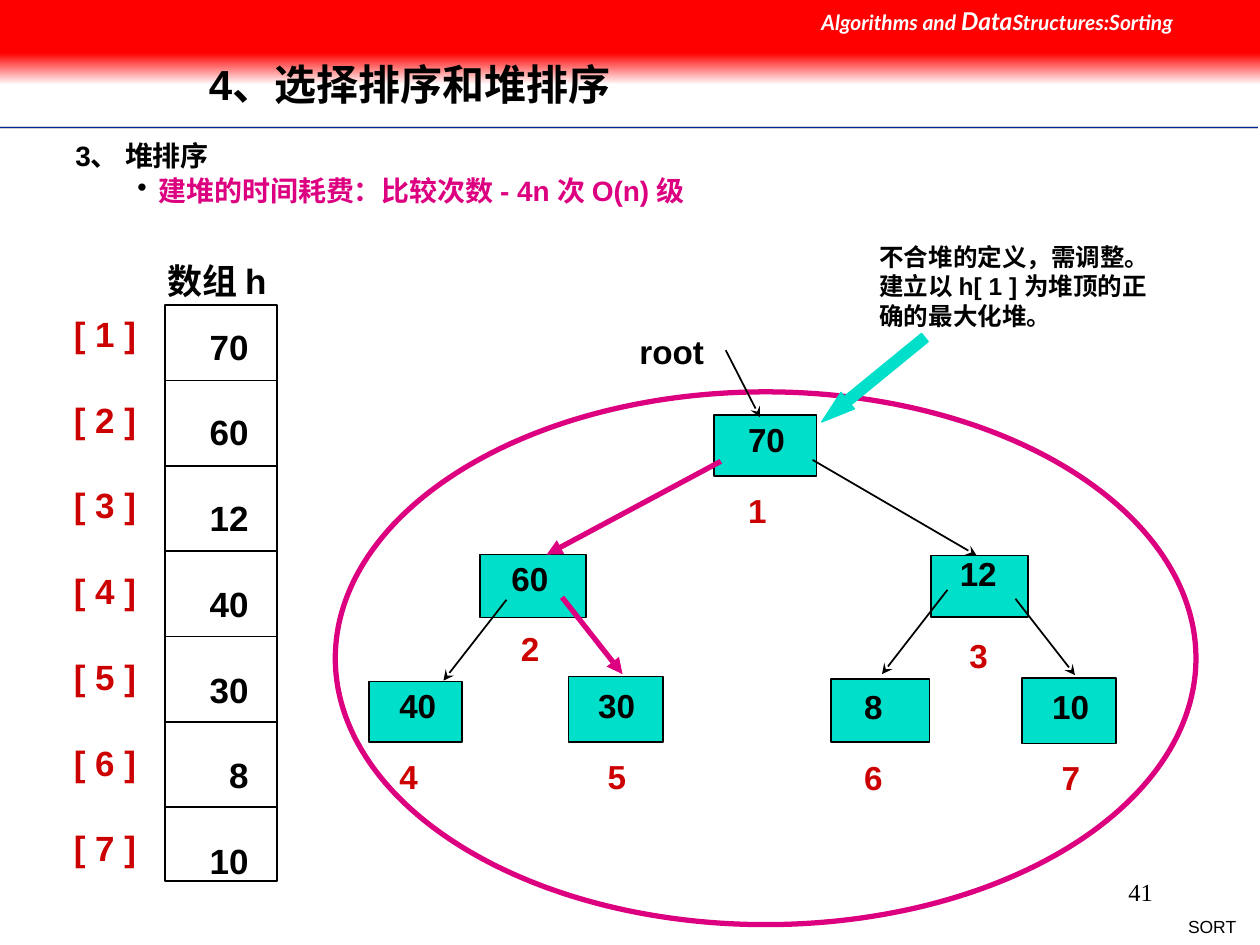
from lxml.etree import SubElement
from pptx import Presentation
from pptx.dml.color import RGBColor
from pptx.enum.shapes import MSO_CONNECTOR, MSO_SHAPE
from pptx.enum.text import MSO_ANCHOR, PP_ALIGN
from pptx.oxml.ns import qn
from pptx.util import Cm, Pt

BLACK, WHITE, RED = "000000", "FFFFFF", "FF0000"
MAGENTA, TEAL, INDEX_RED = "DC0081", "00DFCA", "CC0000"

KEYS = [70, 60, 12, 40, 30, 8, 10]

# Box (left, top, width, height), text (left, top), index indent, gap in points
NODES = [
    ((14.4, 8.36, 2.06, 1.24), (14.88, 8.36), 0, 17.5),
    ((9.68, 11.18, 2.13, 1.27), (10.11, 11.15), 0.19, 17.5),
    ((18.77, 11.2, 1.96, 1.24), (19.15, 11.05), 0.19, 24),
    ((7.44, 13.74, 1.88, 1.22), (7.85, 13.72), 0, 17.5),
    ((11.46, 13.64, 1.9, 1.32), (11.86, 13.72), 0.19, 17.5),
    ((16.76, 13.69, 1.98, 1.27), (17.22, 13.74), 0, 17.5),
    ((20.6, 13.67, 1.9, 1.32), (21.01, 13.74), 0.19, 17.5),
]

PLAIN_ARROWS = [
    (14.63, 7.06, 15.32, 8.41),
    (16.38, 9.27, 19.69, 11.2),
    (10.21, 12.09, 8.94, 13.72),
    (19.1, 11.89, 17.78, 13.59),
    (20.47, 12.07, 21.67, 13.61),
]
PATH_ARROWS = [(14.53, 9.3, 11.02, 11.18), (11.33, 12.04, 12.55, 13.59)]


def rgb(value):
    return RGBColor.from_string(value)


def add_run(p, text, size, color=BLACK, bold=True, italic=False, font="Arial"):
    r = p.add_run()
    r.text = text
    r.font.name, r.font.size = font, Pt(size)
    r.font.bold, r.font.italic = bold, italic
    r.font.color.rgb = rgb(color)


def add_text(s, box, inset=0.25, align=PP_ALIGN.LEFT, anchor=MSO_ANCHOR.TOP):
    """Add an empty text box and return its frame."""
    tf = s.shapes.add_textbox(*map(Cm, box)).text_frame
    tf.word_wrap = True
    tf.vertical_anchor = anchor
    tf.margin_left = tf.margin_right = Cm(inset)
    tf.margin_top = tf.margin_bottom = Cm(inset / 2)
    tf.paragraphs[0].alignment = align
    return tf


def add_label(s, box, text, size, **style):
    p = add_text(s, box).paragraphs[0]
    add_run(p, text, size, **style)
    return p


def add_column(s, box, texts, align, color):
    tf = add_text(s, box)
    for i, text in enumerate(texts):
        p = tf.add_paragraph() if i else tf.paragraphs[0]
        p.alignment = align
        p.space_before = Pt(25 if i else 0)
        add_run(p, text, 20, color)


def set_indent(p, left, first=0):
    pPr = p._p.get_or_add_pPr()
    pPr.set("marL", str(Cm(left)))
    pPr.set("indent", str(Cm(first)))
    return pPr


def add_shape(s, kind, box, fill=None, line=None, width=1):
    sp = s.shapes.add_shape(kind, *map(Cm, box))
    sp.shadow.inherit = False
    if fill:
        sp.fill.solid()
        sp.fill.fore_color.rgb = rgb(fill)
    else:
        sp.fill.background()
    if line:
        sp.line.color.rgb = rgb(line)
        sp.line.width = Pt(width)
    else:
        sp.line.fill.background()
    return sp


def add_line(s, ends, color=BLACK, width=1, arrow=None):
    c = s.shapes.add_connector(MSO_CONNECTOR.STRAIGHT, *map(Cm, ends))
    c.line.color.rgb = rgb(color)
    c.line.width = Pt(width)
    if arrow:
        SubElement(c.line._get_or_add_ln(), qn("a:tailEnd"), type=arrow)
    SubElement(c._element.spPr, qn("a:effectLst"))


def add_node(s, key, index, box, text_at, indent, gap):
    add_shape(s, MSO_SHAPE.RECTANGLE, box, TEAL, BLACK)
    tf = add_text(s, (*text_at, 1.4, 2.4), inset=0.2)
    add_run(tf.paragraphs[0], str(key), 19)
    p = tf.add_paragraph()
    set_indent(p, indent)
    p.space_before = Pt(gap)
    add_run(p, str(index), 19, INDEX_RED)


def add_frame(s):
    # Rule under the title
    for y, color, width in [(2.57, "CECECE", 2), (2.57, "00279F", 1), (2.62, WHITE, 1)]:
        add_line(s, (0, y, 25.35, y), color, width)

    # Red band fading to white
    fade = add_shape(s, MSO_SHAPE.RECTANGLE, (0, 1.07, 25.4, 0.64))
    fade.fill.gradient()
    fade.fill.gradient_angle = 270
    for stop, color in zip(fade.fill.gradient_stops, (RED, WHITE)):
        stop.color.rgb = rgb(color)
    add_shape(s, MSO_SHAPE.RECTANGLE, (0, 0, 25.4, 1.07), RED)

    # Course name
    p = add_text(s, (16.31, 0, 9.09, 0.86)).paragraphs[0]
    for text, size in [("Algorithms and ", 12), ("Data", 14), ("Structures:Sorting", 12)]:
        add_run(p, text, size, WHITE, italic=True, font="Lato")

    # Footer and page number
    tf = add_text(s, (22.5, 18.34, 2.67, 0.69), align=PP_ALIGN.RIGHT)
    add_run(tf.paragraphs[0], "SORT", 10, bold=False)
    tf = add_text(s, (18.21, 17.35, 5.28, 1.27), align=PP_ALIGN.RIGHT,
                  anchor=MSO_ANCHOR.MIDDLE)
    add_run(tf.paragraphs[0], "41", 14, bold=False, font="Times New Roman")


def add_headings(s):
    tf = add_text(s, (3.96, 0.81, 19.18, 1.88), anchor=MSO_ANCHOR.MIDDLE)
    tf.paragraphs[0].line_spacing = 0.9
    add_run(tf.paragraphs[0], "4、选择排序和堆排序", 24)

    p = add_label(s, (0, 2.67, 6.99, 0.94), "3、 堆排序", 16)
    set_indent(p, 1.27)

    p = add_text(s, (0, 3.38, 24.77, 1.04)).paragraphs[0]
    pPr = set_indent(p, 2.95, -0.43)
    SubElement(SubElement(pPr, qn("a:buClr")), qn("a:srgbClr"), val=BLACK)
    SubElement(pPr, qn("a:buChar"), char="•")
    add_run(p, "建堆的时间耗费：比较次数 - 4n 次 O(n) 级", 16, MAGENTA)


def add_array(s):
    add_label(s, (3.12, 5.11, 3.2, 1.09), "数组 h", 20)
    add_shape(s, MSO_SHAPE.RECTANGLE, (3.33, 6.15, 2.26, 11.61), line=BLACK)
    for i in range(len(KEYS) - 1):
        y = 7.67 + 1.72 * i
        add_line(s, (3.3, y, 5.59, y))
    indices = [f"[ {i} ]" for i in range(1, len(KEYS) + 1)]
    add_column(s, (1.24, 6.17, 1.9, 11.28), indices, PP_ALIGN.LEFT, INDEX_RED)
    add_column(s, (3.33, 6.43, 1.93, 11.28), map(str, KEYS), PP_ALIGN.RIGHT, BLACK)


def add_heap(s):
    add_shape(s, MSO_SHAPE.OVAL, (6.76, 7.9, 17.35, 10.74), WHITE, MAGENTA, 3)
    for index, (key, node) in enumerate(zip(KEYS, NODES), 1):
        add_node(s, key, index, *node)
    for ends in PLAIN_ARROWS:
        add_line(s, ends, arrow="stealth")
    for ends in PATH_ARROWS:
        add_line(s, ends, MAGENTA, 3, "triangle")
    add_label(s, (12.64, 6.55, 2.29, 1.02), "root", 19)

    # Remark pointing at the root
    add_label(s, (17.48, 4.75, 6.27, 2.03),
              "不合堆的定义，需调整。建立以 h[ 1 ] 为堆顶的正确的最大化堆。", 14)
    sp = add_shape(s, MSO_SHAPE.LEFT_ARROW, (16.26, 7.44, 2.69, 0.43), TEAL, TEAL, 0.75)
    sp.adjustments[0], sp.adjustments[1] = 0.5, 1.58
    sp.rotation = 320.7


def main():
    prs = Presentation()
    prs.slide_width, prs.slide_height = Cm(25.4), Cm(19.05)
    s = prs.slides.add_slide(prs.slide_layouts[6])
    add_frame(s)
    add_heap(s)
    add_headings(s)
    add_array(s)
    prs.save("out.pptx")


if __name__ == "__main__":
    main()
